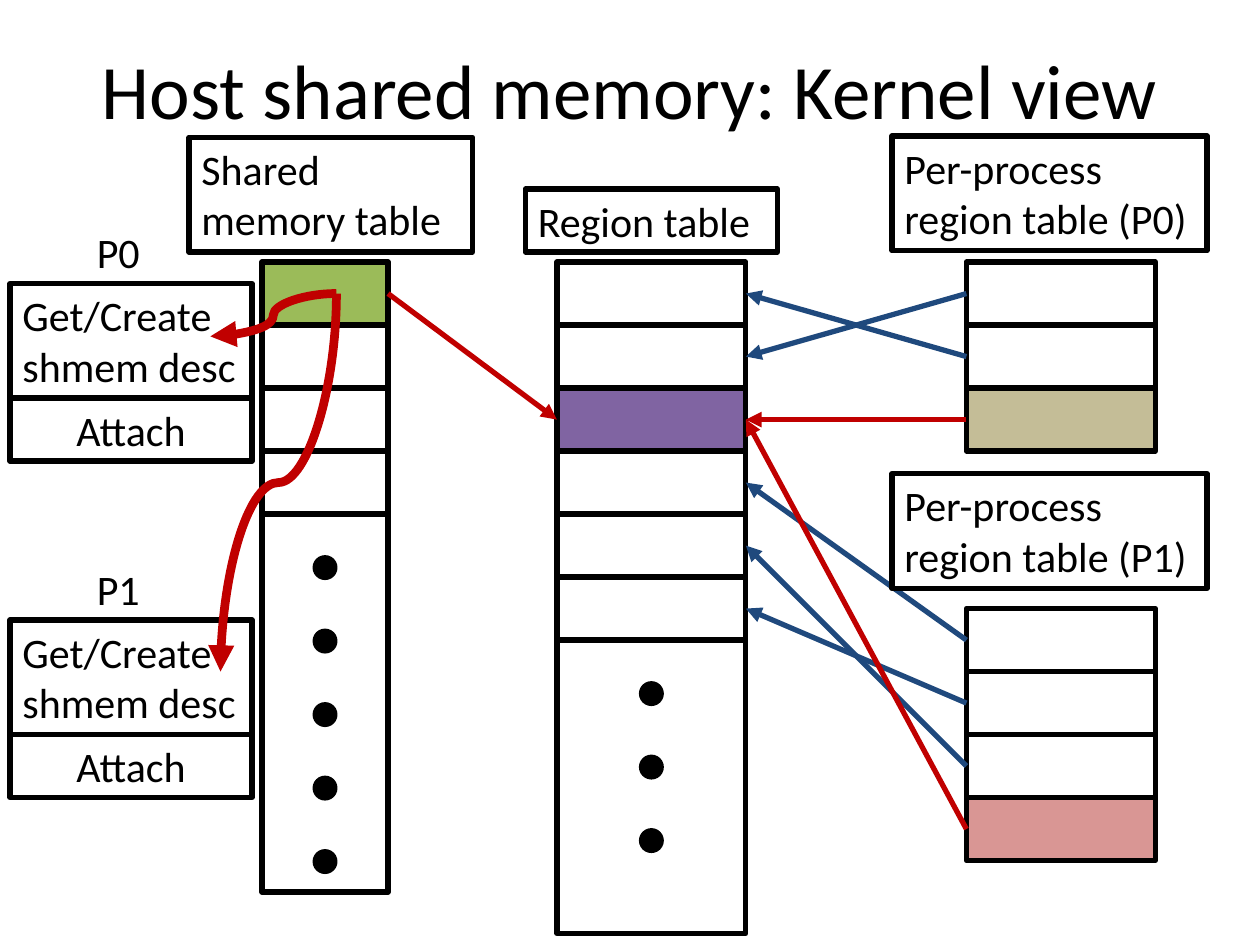
from lxml import etree
from pptx import Presentation
from pptx import util as u
from pptx.dml.color import RGBColor
from pptx.enum import shapes, text
from pptx.oxml.ns import qn

COLORS = {
    "black": "000000", "white": "FFFFFF", "red": "C00000", "blue": "1F497D",
    "green": "9BBB59", "purple": "8064A2", "tan": "C4BD97", "pink": "D99694",
}
FONT = "Calibri"
ROW = 0.5
TALL = 0.91  # height of a two-line label
DOT, DOT_STEP = 0.17, 7 / 12
TITLE = "Host shared memory: Kernel view"

# name: left, top, width, cell fills, height of the open last cell, dots (count, first top)
TABLES = {
    "shared": (2.08, 2.08, 1, ["green"] + ["white"] * 3, 3, (5, 4.42)),
    "region": (4.42, 2.08, 1.5, ["white"] * 2 + ["purple"] + ["white"] * 3, 2.33, (3, 5.42)),
    "p0": (7.67, 2.08, 1.5, ["white"] * 2 + ["tan"], 0, (0, 0)),
    "p1": (7.67, 4.83, 1.5, ["white"] * 3 + ["pink"], 0, (0, 0)),
}
LABELS = [
    ("Shared memory table", 1.5, 1.09, 2.25, TALL),
    ("Region table", 4.17, 1.5, 2, ROW),
    ("Per-process region table (P0)", 7.08, 1.08, 2.5, TALL),
    ("Per-process region table (P1)", 7.08, 3.76, 2.5, TALL),
]
PROCESSES = [("P0", 2.25), ("P1", 4.92)]
# (table, row) -> (table, row), color
ARROWS = [
    (("p0", 2), ("region", 2), "red"),
    (("shared", 0), ("region", 2), "red"),
    (("p0", 0), ("region", 1), "blue"),
    (("p0", 1), ("region", 0), "blue"),
    (("p1", 0), ("region", 3), "blue"),
    (("p1", 1), ("region", 5), "blue"),
    (("p1", 2), ("region", 4), "blue"),
    (("p1", 3), ("region", 2), "red"),
]
# start, end, quarter turns clockwise
CURVES = [
    ((2.67, 2.33), (1.67, 2.67), 0),
    ((2.67, 2.33), (1.75, 5.33), 1),
]
LEFT_SIDE, RIGHT_SIDE = 1, 3


def rgb(name):
    return RGBColor.from_string(COLORS[name])


def inches(*values):
    return [u.Inches(value) for value in values]


def add_box(page, kind, area, fill=None, weight=3):
    box = page.shapes.add_shape(kind, *inches(*area))
    box.shadow.inherit = False
    if fill:
        box.fill.solid()
        box.fill.fore_color.rgb = rgb(fill)
    else:
        box.fill.background()
    box.line.color.rgb = rgb("black")
    box.line.width = u.Pt(weight)
    return box


def write(box, words, size=24, align=text.PP_ALIGN.LEFT, anchor=text.MSO_ANCHOR.TOP):
    frame = box.text_frame
    frame.word_wrap = True
    frame.vertical_anchor = anchor
    frame.text = words
    para = frame.paragraphs[0]
    para.alignment = align
    span = para.runs[0]
    span.font.name = FONT
    span.font.size = u.Pt(size)
    span.font.color.rgb = rgb("black")


def add_text(page, words, area, **style):
    write(page.shapes.add_textbox(*inches(*area)), words, **style)


def add_arrow(page, kind, start, end, color, weight):
    arrow = page.shapes.add_connector(kind, *inches(*start, *end))
    arrow.line.color.rgb = rgb(color)
    arrow.line.width = u.Pt(weight)
    etree.SubElement(arrow.line._get_or_add_ln(), qn("a:tailEnd"), type="triangle")
    etree.SubElement(arrow._element.spPr, qn("a:effectLst"))
    return arrow


def add_table_column(page, left, top, width, fills, open_height, dots):
    """Stack the cells, then the open last cell with its dots; return the cells."""
    rectangle = shapes.MSO_SHAPE.RECTANGLE
    if open_height:
        add_box(page, rectangle, (left, top + len(fills) * ROW, width, open_height), "white")
    cells = [add_box(page, rectangle, (left, top + row * ROW, width, ROW), fill)
             for row, fill in enumerate(fills)]
    count, first = dots
    for index in range(count):
        area = (left + (width - DOT) / 2, first + index * DOT_STEP, DOT, DOT)
        add_box(page, shapes.MSO_SHAPE.OVAL, area, "black", 2)
    return cells


def add_curve(page, start, end, turns):
    """Draw an S curve; one turn makes it leave and arrive vertically."""
    if turns:
        # Lay the box out unrotated about the same centre, then turn it.
        middle_x, middle_y = [(a + b) / 2 for a, b in zip(start, end)]
        half_x, half_y = (end[1] - start[1]) / 2, (start[0] - end[0]) / 2
        start = (middle_x - half_x, middle_y - half_y)
        end = (middle_x + half_x, middle_y + half_y)
    curve = add_arrow(page, shapes.MSO_CONNECTOR.CURVE, start, end, "red", 5)
    if turns:
        curve._element.spPr.find(qn("a:xfrm")).set("rot", str(turns * 90 * 60000))


def main():
    deck = Presentation()
    deck.slide_width, deck.slide_height = inches(10, 7.5)
    page = deck.slides.add_slide(deck.slide_layouts[6])
    rectangle = shapes.MSO_SHAPE.RECTANGLE

    add_text(page, TITLE, (0.5, 0.08, 9, 1.25), size=44,
             align=text.PP_ALIGN.CENTER, anchor=text.MSO_ANCHOR.MIDDLE)
    cells = {name: add_table_column(page, *layout) for name, layout in TABLES.items()}

    for (table, row), (target, target_row), color in ARROWS:
        arrow = add_arrow(page, shapes.MSO_CONNECTOR.STRAIGHT, (0, 0), (1, 1), color, 3)
        rightward = TABLES[table][0] < TABLES[target][0]
        sides = (RIGHT_SIDE, LEFT_SIDE) if rightward else (LEFT_SIDE, RIGHT_SIDE)
        arrow.begin_connect(cells[table][row], sides[0])
        arrow.end_connect(cells[target][target_row], sides[1])

    for words, *area in LABELS:
        write(add_box(page, rectangle, area), words)
    for name, top in PROCESSES:
        add_text(page, name, (0.67, top - ROW, 0.67, ROW))
        write(add_box(page, rectangle, (0.08, top, 1.92, TALL)), "Get/Create shmem desc")
        write(add_box(page, rectangle, (0.08, top + TALL, 1.92, ROW)), "Attach",
              align=text.PP_ALIGN.CENTER)

    for curve in CURVES:
        add_curve(page, *curve)
    deck.save("out.pptx")


if __name__ == "__main__":
    main()
